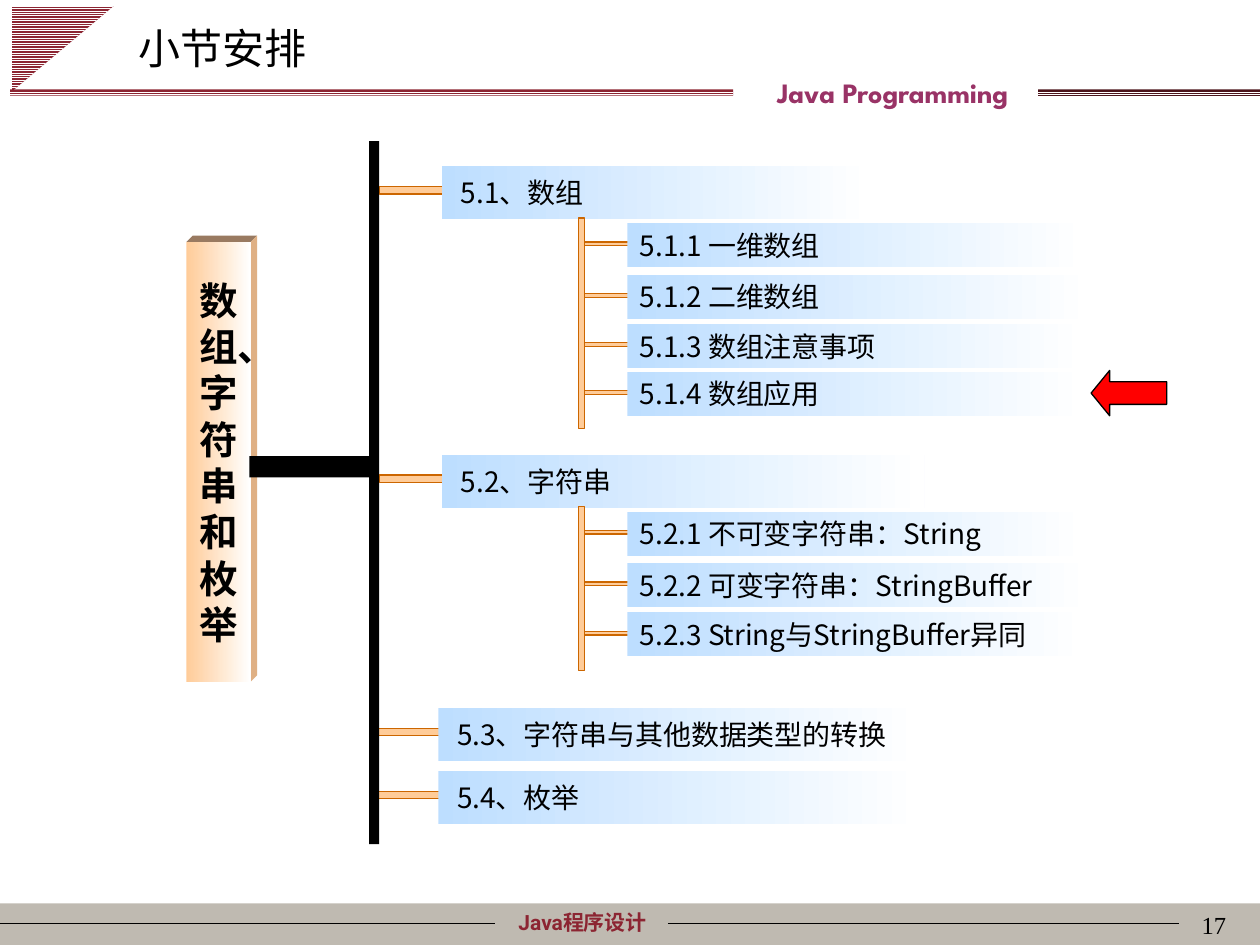
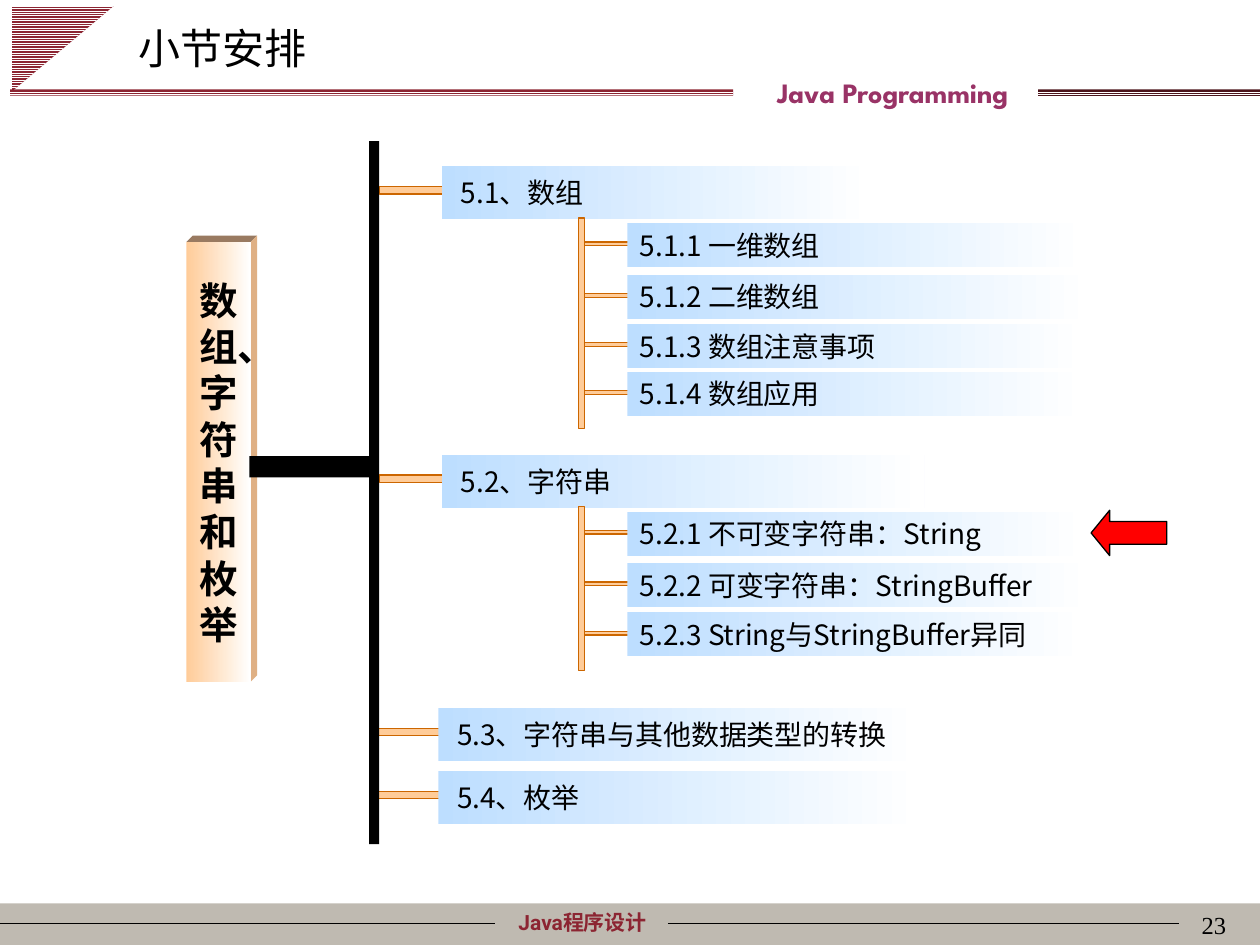
import pptx
import pptx.util
import pptx.dml.color
import pptx.enum.dml
import pptx.enum.shapes
import pptx.enum.text
import pptx.oxml.ns
import lxml.etree

Inches = pptx.util.Inches
Pt = pptx.util.Pt
SHAPE = pptx.enum.shapes.MSO_SHAPE
ALIGN = pptx.enum.text.PP_ALIGN
ANCHOR = pptx.enum.text.MSO_ANCHOR

# Shared colours and text formats
MAROON, DARK_MAROON, BLACK, WHITE = "8C2532", "4C141B", "000000", "FFFFFF"
ORANGE, ORANGE_LINE, BLUE = "FFCC99", "CC6600", "BDDEFF"
CJK = "Noto Sans CJK SC"
TITLE = {"name": CJK, "size": Pt(24), "color": BLACK}
ITEM = {"name": CJK, "size": Pt(16), "color": BLACK}
PANEL = {"name": CJK, "size": Pt(22), "color": BLACK, "bold": True}
COURSE = {"name": "League Spartan", "size": Pt(16), "color": "993366", "bold": True}
FOOTER = {"name": "Roboto", "size": Pt(12), "color": MAROON, "bold": True}
PAGE = {"name": "Times New Roman", "size": Pt(14), "color": BLACK}

# Outline: heading, left, top, width, sub-items, length of the sub-item stem
CHAPTERS = [
    (" 5.1、数组", 3.51, 1.32, 3.41,
     ["5.1.1 一维数组", "5.1.2 二维数组", "5.1.3 数组注意事项", "5.1.4 数组应用"], 1.67),
    (" 5.2、字符串", 3.51, 3.61, 3.83,
     ["5.2.1 不可变字符串：String", "5.2.2 可变字符串：StringBuffer",
      "5.2.3 String与StringBuffer异同"], 1.3),
    (" 5.3、字符串与其他数据类型的转换", 3.48, 5.62, 3.83, [], 0),
    (" 5.4、枚举", 3.48, 6.12, 3.83, [], 0),
]
SECTION_OFFSETS = [0.45, 0.86, 1.25, 1.63]
SECTION_WIDTHS = [3.65, 3.69, 3.64, 3.64]


def rgb(value):
    return pptx.dml.color.RGBColor.from_string(value)


def write(shape, text, style, align=ALIGN.LEFT, anchor=ANCHOR.MIDDLE):
    frame = shape.text_frame
    frame.word_wrap = True
    frame.vertical_anchor = anchor
    paragraph = frame.paragraphs[0]
    paragraph.alignment = align
    run = paragraph.add_run()
    run.text = text
    for attribute, value in style.items():
        if attribute == "color":
            run.font.color.rgb = rgb(value)
        else:
            setattr(run.font, attribute, value)
    # East Asian characters need their own typeface entry
    east_asian = lxml.etree.SubElement(run.font._element, pptx.oxml.ns.qn("a:ea"))
    east_asian.set("typeface", style["name"])
    return paragraph


def add_text(slide, box, text, style, align=ALIGN.LEFT, anchor=ANCHOR.MIDDLE):
    write(slide.shapes.add_textbox(*map(Inches, box)), text, style, align, anchor)


def paint(shape, fill, line=None):
    shape.shadow.inherit = False
    shape.fill.solid()
    shape.fill.fore_color.rgb = rgb(fill)
    if line:
        shape.line.color.rgb = rgb(line)
        shape.line.width = Pt(0.75)
    else:
        shape.line.fill.background()
    return shape


def add_block(slide, box, fill, line=None, kind=SHAPE.RECTANGLE):
    return paint(slide.shapes.add_shape(kind, *map(Inches, box)), fill, line)


def add_striped(slide, box, color, kind=SHAPE.RECTANGLE):
    shape = add_block(slide, box, color, kind=kind)
    shape.fill.patterned()
    shape.fill.pattern = pptx.enum.dml.MSO_PATTERN.LIGHT_HORIZONTAL
    shape.fill.fore_color.rgb = rgb(WHITE)
    shape.fill.back_color.rgb = rgb(color)
    return shape


def add_fading(slide, box, color):
    shape = add_block(slide, box, color)
    shape.fill.gradient()
    shape.fill.gradient_angle = 0
    for stop, stop_color in zip(shape.fill.gradient_stops, (color, WHITE)):
        stop.color.rgb = rgb(stop_color)
    return shape


def add_face(slide, points, color):
    corners = [(Inches(x), Inches(y)) for x, y in points]
    builder = slide.shapes.build_freeform(*corners[0])
    builder.add_line_segments(corners[1:])
    paint(builder.convert_to_shape(), color)


def add_rule(slide, left, right, y):
    line = slide.shapes.add_connector(
        pptx.enum.shapes.MSO_CONNECTOR.STRAIGHT,
        Inches(left), Inches(y), Inches(right), Inches(y))
    line.line.color.rgb = rgb(BLACK)
    line.line.width = Pt(0.75)
    lxml.etree.SubElement(line._element.spPr, pptx.oxml.ns.qn("a:effectLst"))


def add_frame(slide, page):
    # Footer band
    add_block(slide, (0, 7.17, 10, 0.33), "BFBAB1")
    add_text(slide, (3.62, 7.17, 2.01, 0.3), "Java程序设计", FOOTER, ALIGN.CENTER)
    add_rule(slide, 0, 3.93, 7.33)
    add_rule(slide, 5.3, 9.36, 7.33)
    add_text(slide, (7.75, 7.17, 2.08, 0.5), page, PAGE, ALIGN.RIGHT, ANCHOR.TOP)
    # Header
    corner = add_striped(slide, (0.16, -0.02, 0.68, 0.81), MAROON, SHAPE.RIGHT_TRIANGLE)
    corner.rotation = 90
    add_striped(slide, (8.24, 0.71, 1.76, 0.06), DARK_MAROON)
    add_striped(slide, (0.08, 0.71, 5.74, 0.05), MAROON)
    add_text(slide, (5.08, 0.55, 4.01, 0.37), "Java Programming", COURSE, ALIGN.CENTER)
    add_text(slide, (1, 0.13, 2.85, 0.5), "小节安排", TITLE)


def add_topic_panel(slide):
    left, top, width, height, depth = 1.48, 1.92, 0.51, 3.49, 0.05
    right, bottom = left + width, top + height
    add_face(slide, [(left, top), (left + depth, top - depth),
                     (right + depth, top - depth), (right, top)], "997A61")
    add_face(slide, [(right, top), (right + depth, top - depth),
                     (right + depth, bottom - depth), (right, bottom)], "DFB084")
    panel = add_fading(slide, (left, top, width, height), ORANGE)
    paragraph = write(panel, "数组、字符串和枚举", PANEL, ALIGN.CENTER)
    paragraph.line_spacing = Pt(26.5)


def add_chapter(slide, heading, left, top, width, sections, stem, current):
    add_block(slide, (left - 0.5, top + 0.16, 0.51, 0.06), ORANGE, ORANGE_LINE)
    write(add_fading(slide, (left, top, width, 0.42), BLUE), heading, ITEM, ALIGN.JUSTIFY)
    for section, offset, section_width in zip(sections, SECTION_OFFSETS, SECTION_WIDTHS):
        y = top + offset
        add_block(slide, (4.61, y + 0.15, 0.51, 0.03), ORANGE, ORANGE_LINE)
        write(add_fading(slide, (4.98, y, section_width, 0.35), BLUE), section, ITEM)
        if section.startswith(current):
            arrow = add_block(slide, (8.66, y - 0.01, 0.6, 0.36), "FF0000", BLACK,
                              SHAPE.LEFT_ARROW)
            arrow.adjustments[1] = 0.41
    if sections:
        add_block(slide, (4.59, top + 0.41, 0.05, stem), ORANGE, ORANGE_LINE)


def add_outline_slide(presentation, page, current):
    slide = presentation.slides.add_slide(presentation.slide_layouts[6])
    add_frame(slide, page)
    add_topic_panel(slide)
    for chapter in CHAPTERS:
        add_chapter(slide, *chapter, current)
    # Trunk that joins the topic to its chapters
    add_block(slide, (1.98, 3.62, 1, 0.17), BLACK)
    add_block(slide, (2.93, 1.12, 0.08, 5.58), BLACK)


def main():
    presentation = pptx.Presentation()
    presentation.slide_width = Inches(10)
    presentation.slide_height = Inches(7.5)
    add_outline_slide(presentation, "17", "5.1.4")
    add_outline_slide(presentation, "23", "5.2.1")
    presentation.save("out.pptx")


if __name__ == "__main__":
    main()
